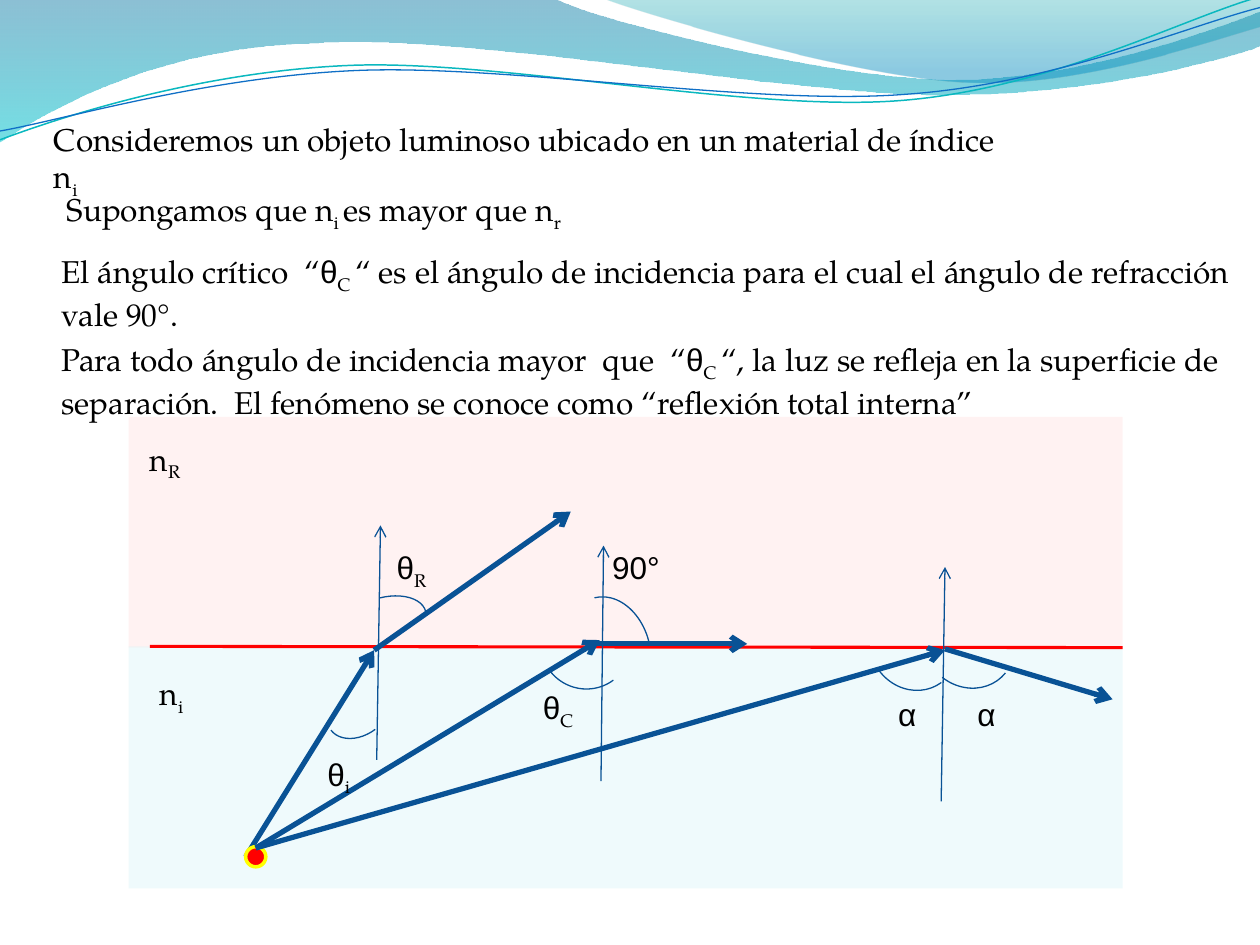
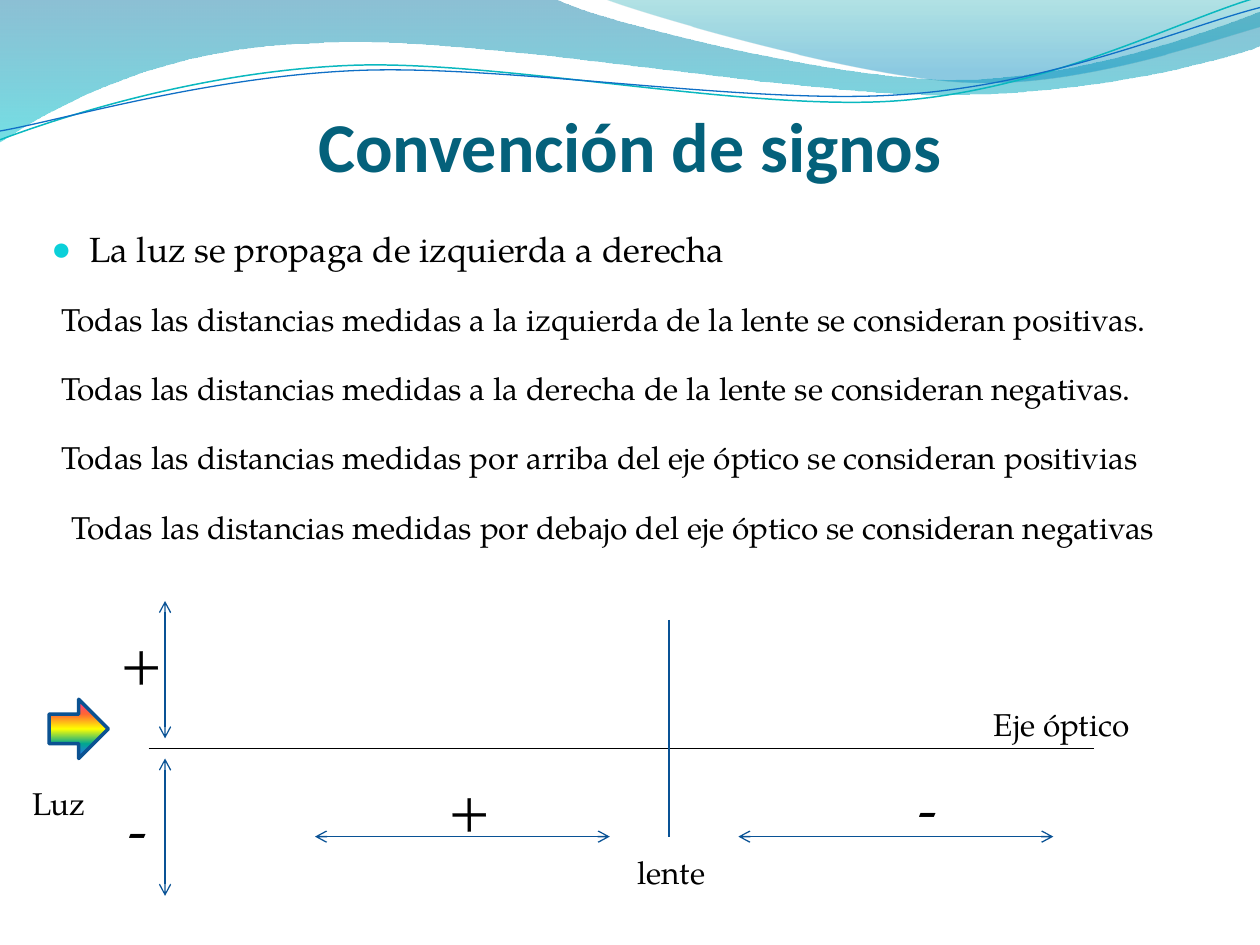
from dataclasses import dataclass

from lxml import etree
from pptx import Presentation
from pptx.dml.color import RGBColor
from pptx.enum.shapes import MSO_CONNECTOR, MSO_SHAPE
from pptx.enum.text import MSO_ANCHOR, PP_ALIGN
from pptx.oxml.ns import qn
from pptx.util import Inches, Pt

STRAIGHT = MSO_CONNECTOR.STRAIGHT
RECTANGLE, OVAL = MSO_SHAPE.RECTANGLE, MSO_SHAPE.OVAL
ARC, RIGHT_ARROW = MSO_SHAPE.ARC, MSO_SHAPE.RIGHT_ARROW
CENTER, BOTTOM = PP_ALIGN.CENTER, MSO_ANCHOR.BOTTOM
TITLE_ONLY, BLANK = 5, 6

SERIF, SANS, TITLE_FONT = "TeX Gyre Pagella", "Arial", "Calibri"
BLUE, BLACK, RED, YELLOW = "095295", "000000", "FF0000", "FFFF00"
TITLE_COLOUR, BULLET_COLOUR = "04617B", "0BD0D9"
THIN, RAY = 0.75, 3


@dataclass
class Run:
    text: str
    font: str = SERIF
    subscript: bool = False


@dataclass
class Label:
    left: float
    top: float
    width: float
    runs: list[Run]
    height: float = 0.4
    size: int = 18
    wrap: bool = True


@dataclass
class Line:
    start: tuple[float, float]
    end: tuple[float, float]
    width: float = THIN
    colour: str = BLUE
    head: bool = False
    tail: bool = True


@dataclass
class Angle:
    left: float
    top: float
    width: float
    height: float
    rotation: float


@dataclass
class Stop:
    position: int
    colour: str
    opacity: int = 100


@dataclass
class Wave:
    start: tuple[float, float]
    segments: list[tuple[float, ...]]  # 2 numbers: straight, 6: cubic curve
    stops: list[Stop] | None = None
    line: tuple[str, float] | None = None


WAVES = [
    Wave((0, 0), [(4.4, -0.01), (4.76, 0.17, 6.64, 0.63, 7.58, 0.63),
                  (8.53, 0.63, 9.58, 0.26, 10, 0.09), (10.01, 0.36),
                  (9.83, 0.44, 8.7, 0.76, 7.46, 0.75),
                  (6.22, 0.75, 3.82, 0.28, 2.57, 0.34),
                  (1.29, 0.36, 0.46, 0.83, -0.01, 1.13), (0, 0)],
         stops=[Stop(0, "0074A1", 45), Stop(100, "00C6CF", 55)]),
    Wave((4.79, -0.01), [(5.09, 0.11, 6.82, 0.62, 7.69, 0.65),
                         (8.56, 0.69, 9.61, 0.32, 10, 0.21), (10, 0), (4.79, -0.01)],
         stops=[Stop(0, "00A1A9", 30), Stop(80, "008BBF", 45)]),
    Wave((0, 1.11), [(0.48, 0.93, 1.58, 0.57, 2.77, 0.52),
                     (3.95, 0.47, 5.93, 0.89, 7.13, 0.8),
                     (8.33, 0.71, 9.38, 0.15, 9.98, -0.02)], line=("0AB8BF", 0.85)),
    Wave((0, 1.04), [(0.47, 0.96, 1.64, 0.61, 2.83, 0.56),
                     (4.03, 0.51, 5.97, 0.84, 7.17, 0.75),
                     (8.36, 0.67, 9.41, 0.21, 10, 0.06)], line=("0F6FC6", 0.75)),
]


def rgb(colour: str) -> RGBColor:
    return RGBColor.from_string(colour)


def set_opacity(colour_element, percent: int) -> None:
    etree.SubElement(colour_element, qn("a:alpha"), val=str(percent * 1000))


def fill_gradient(shape, stops: list[Stop]) -> None:
    """Fill from top to bottom."""
    shape.fill.gradient()
    shape.fill.gradient_angle = 270
    stop_list = shape._element.spPr.find(".//" + qn("a:gsLst"))
    for old in list(stop_list):
        stop_list.remove(old)
    for stop in stops:
        entry = etree.SubElement(stop_list, qn("a:gs"), pos=str(stop.position * 1000))
        colour = etree.SubElement(entry, qn("a:srgbClr"), val=stop.colour)
        if stop.opacity < 100:
            set_opacity(colour, stop.opacity)


def set_outline(shape, colour: str | None, width: float = THIN) -> None:
    if colour is None:
        shape.line.fill.background()
    else:
        shape.line.color.rgb = rgb(colour)
        shape.line.width = Pt(width)


def bend(shape, segments: list[tuple[float, ...]]) -> None:
    """Join the three points of each cubic segment into one curve."""
    corners = iter(shape._element.spPr.findall(".//" + qn("a:lnTo")))
    for segment in segments:
        first = next(corners)
        if len(segment) == 6:
            first.tag = qn("a:cubicBezTo")
            for corner in (next(corners), next(corners)):
                first.append(corner[0])
                corner.getparent().remove(corner)


def draw_wave(slide, wave: Wave):
    points = [(Inches(s[i]), Inches(s[i + 1]))
              for s in (wave.start, *wave.segments) for i in range(0, len(s), 2)]
    builder = slide.shapes.build_freeform(*points[0], scale=1.0)
    builder.add_line_segments(points[1:], close=wave.line is None)
    shape = builder.convert_to_shape()
    bend(shape, wave.segments)
    shape.shadow.inherit = False
    if wave.stops:
        fill_gradient(shape, wave.stops)
    else:
        shape.fill.background()
    set_outline(shape, *(wave.line or (None,)))
    return shape


def move_waves_to_master(deck, slide) -> None:
    """Draw the band on a slide and hand it to the master, which all slides share."""
    tree = deck.slide_master.shapes._spTree
    for index, wave in enumerate(WAVES):
        element = draw_wave(slide, wave)._element
        element.nvSpPr.cNvPr.set("id", str(100 + index))
        tree.insert(2 + index, element)


def draw_shape(slide, kind, left: float, top: float, width: float, height: float,
               fill: str | None = None, opacity: int = 100,
               line: str | None = None, line_width: float = THIN):
    shape = slide.shapes.add_shape(kind, Inches(left), Inches(top),
                                   Inches(width), Inches(height))
    shape.shadow.inherit = False
    if fill:
        shape.fill.solid()
        shape.fill.fore_color.rgb = rgb(fill)
        if opacity < 100:
            set_opacity(shape._element.spPr.find(".//" + qn("a:srgbClr")), opacity)
    else:
        shape.fill.background()
    set_outline(shape, line, line_width)
    return shape


def draw_angle(slide, angle: Angle) -> None:
    arc = draw_shape(slide, ARC, angle.left, angle.top, angle.width, angle.height,
                     line=BLUE)
    arc.rotation = angle.rotation


def draw_line(slide, line: Line) -> None:
    ends = [Inches(value) for value in (*line.start, *line.end)]
    connector = slide.shapes.add_connector(STRAIGHT, *ends)
    set_outline(connector, line.colour, line.width)
    properties = connector._element.spPr
    for tag, wanted in (("a:headEnd", line.head), ("a:tailEnd", line.tail)):
        if wanted:
            etree.SubElement(properties.find(qn("a:ln")), qn(tag), type="arrow")
    etree.SubElement(properties, qn("a:effectLst"))


def draw_label(slide, label: Label):
    box = slide.shapes.add_textbox(Inches(label.left), Inches(label.top),
                                   Inches(label.width), Inches(label.height))
    box.text_frame.word_wrap = label.wrap
    paragraph = box.text_frame.paragraphs[0]
    paragraph.font.size = Pt(label.size)
    paragraph.font.color.rgb = rgb(BLACK)
    fonts = {run.font for run in label.runs}
    if len(fonts) == 1:
        paragraph.font.name = label.runs[0].font
    for part in label.runs:
        run = paragraph.add_run()
        run.text = part.text
        if len(fonts) > 1:
            run.font.name = part.font
        if part.subscript:
            run._r.get_or_add_rPr().set("baseline", "-25000")
    return paragraph


def sub(text: str) -> Run:
    return Run(text, subscript=True)


def build_total_reflection(slide) -> None:
    theta, alpha = Run("θ", SANS), Run("α", SANS)
    source, critical_point, reflection_point = (2.03, 6.73), (4.76, 5.08), (7.5, 5.16)
    refraction_point = (2.97, 5.16)

    # Two media and the surface between them
    draw_shape(slide, RECTANGLE, 1.02, 3.31, 7.89, 1.83, RED, 5)
    draw_shape(slide, RECTANGLE, 1.02, 5.13, 7.89, 1.92, "DBF5F9", 44)
    draw_line(slide, Line((1.19, 5.13), (8.91, 5.14), 1.75, RED, tail=False))

    # Normals, then incident and outgoing rays
    for line in (Line((2.99, 6.03), (3.02, 4.17)), Line((4.77, 6.2), (4.79, 4.33)),
                 Line((7.47, 6.36), (7.5, 4.5)),
                 Line((1.95, 6.8), refraction_point, RAY),
                 Line(refraction_point, (4.53, 4.06), RAY)):
        draw_line(slide, line)
    draw_shape(slide, OVAL, 1.95, 6.72, 0.16, 0.16, RED, line=YELLOW, line_width=2)
    for line in (Line(source, critical_point, RAY), Line((4.68, 5.11), (5.93, 5.11), RAY),
                 Line(source, reflection_point, RAY),
                 Line((7.5, 5.15), (8.83, 5.55), RAY)):
        draw_line(slide, line)

    # Angles
    for angle in (Angle(2.57, 5.42, 0.57, 0.41, 143.3), Angle(2.73, 4.74, 0.66, 0.39, 345.4),
                  Angle(4.29, 4.74, 0.72, 0.73, 143.3), Angle(4.5, 4.73, 0.66, 0.88, 345.4),
                  Angle(6.91, 4.75, 0.68, 0.74, 143.3), Angle(7.35, 4.74, 0.68, 0.74, 128.7)):
        draw_angle(slide, angle)

    # Explanations and symbols
    for label in (
        Label(0.33, 0.9, 7.86, [
            Run("Consideremos un objeto luminoso ubicado en un material de índice n"),
            sub("i")]),
        Label(0.43, 1.46, 4.21, [Run("Supongamos que n"), sub("i "),
                                 Run("es mayor que n"), sub("r")], wrap=False),
        Label(0.39, 1.95, 9.53, [
            Run("El ángulo crítico  “"), theta, sub("C "),
            Run("“ es el ángulo de incidencia para el cual el ángulo de refracción "
                "vale 90°.")], 1.01),
        Label(0.39, 2.65, 9.53, [
            Run("Para todo ángulo de incidencia mayor  que  “"), theta, sub("C "),
            Run("“, la luz se refleja en la superficie de separación.  El fenómeno "
                "se conoce como “reflexión total interna”")], 0.71),
        Label(1.09, 3.44, 0.53, [Run("n"), sub("R")]),
        Label(1.17, 5.3, 0.41, [Run("n"), sub("i")]),
        Label(3.05, 4.3, 0.47, [theta, sub("R")]),
        Label(2.5, 5.94, 0.47, [theta, sub("i")]),
        Label(4.21, 5.41, 0.47, [theta, sub("C")]),
        Label(4.76, 4.3, 0.7, [Run("90°", SANS)]),
        Label(7.03, 5.47, 0.47, [alpha]),
        Label(7.66, 5.47, 0.47, [alpha]),
    ):
        draw_label(slide, label)


def build_sign_convention(slide) -> None:
    # Title
    title = slide.shapes.title
    title.left, title.top = Inches(0.5), Inches(0.23)
    title.width, title.height = Inches(9), Inches(1.25)
    frame = title.text_frame
    frame.text = "Convención de signos"
    frame.vertical_anchor = BOTTOM
    frame.margin_left = frame.margin_right = frame.margin_bottom = 0
    heading = frame.paragraphs[0]
    heading.alignment = CENTER
    heading.font.name, heading.font.size, heading.font.bold = TITLE_FONT, Pt(40), True
    heading.font.color.rgb = rgb(TITLE_COLOUR)

    # Bulleted rule
    rule = draw_label(slide, Label(
        0.31, 1.76, 9.69, [Run("La luz se propaga de izquierda a derecha")], 0.5, 20))
    properties = rule._p.get_or_add_pPr()
    properties.set("marL", str(Inches(0.3)))
    properties.set("indent", str(-Inches(0.3)))
    bullet_colour = etree.Element(qn("a:buClr"))
    etree.SubElement(bullet_colour, qn("a:srgbClr"), val=BULLET_COLOUR)
    for position, element in enumerate((
            bullet_colour, etree.Element(qn("a:buSzPct"), val="95000"),
            etree.Element(qn("a:buFont"), typeface=SANS),
            etree.Element(qn("a:buChar"), char="●"))):
        properties.insert(position, element)

    # Sign rules
    for row, (left, width, ending) in enumerate((
        (0.39, 9.45, "a la izquierda de la lente se consideran positivas."),
        (0.39, 9.38, "a la derecha de la lente se consideran negativas."),
        (0.39, 9.92, "por arriba del eje óptico se consideran positivias"),
        (0.47, 8.91, "por debajo del eje óptico se consideran negativas"),
    )):
        text = f"Todas las distancias medidas {ending}"
        draw_label(slide, Label(left, 2.33 + 0.55 * row, width, [Run(text)]))

    # Optical axis, lens and measured distances
    draw_line(slide, Line((1.18, 5.94), (8.68, 5.94), colour=BLACK, tail=False))
    draw_line(slide, Line((5.31, 4.92), (5.31, 6.64), tail=False))
    for start, end in (((2.5, 6.64), (4.84, 6.64)), ((5.86, 6.64), (8.36, 6.64)),
                       ((1.31, 6.02), (1.31, 7.11)), ((1.31, 4.77), (1.31, 5.86))):
        draw_line(slide, Line(start, end, head=True))

    # Signs and names
    for sign, left, top, width in (("+", 3.46, 6.09, 0.45), ("-", 7.19, 6.09, 0.36),
                                   ("+", 0.86, 4.92, 0.45), ("-", 0.92, 6.26, 0.36)):
        draw_label(slide, Label(left, top, width, [Run(sign)], 0.64, 32, False))
    for name, left, top, width in (("Eje óptico", 7.79, 5.55, 1.28),
                                   ("lente", 4.96, 6.72, 0.75), ("Luz", 0.16, 6.17, 0.78)):
        draw_label(slide, Label(left, top, width, [Run(name)], wrap=name == "Luz"))

    # Direction of the light
    light = draw_shape(slide, RIGHT_ARROW, 0.39, 5.55, 0.47, 0.47,
                       line="0B5292", line_width=2)
    rainbow = ("FF3399", "FF6633", YELLOW, "01A78F", "3366FF")
    fill_gradient(light, [Stop(25 * i, colour) for i, colour in enumerate(rainbow)])


def main() -> None:
    deck = Presentation()
    deck.slide_width, deck.slide_height = Inches(10), Inches(7.5)
    reflection, convention = (deck.slides.add_slide(deck.slide_layouts[layout])
                              for layout in (BLANK, TITLE_ONLY))
    move_waves_to_master(deck, reflection)
    build_total_reflection(reflection)
    build_sign_convention(convention)
    deck.save("out.pptx")


if __name__ == "__main__":
    main()
